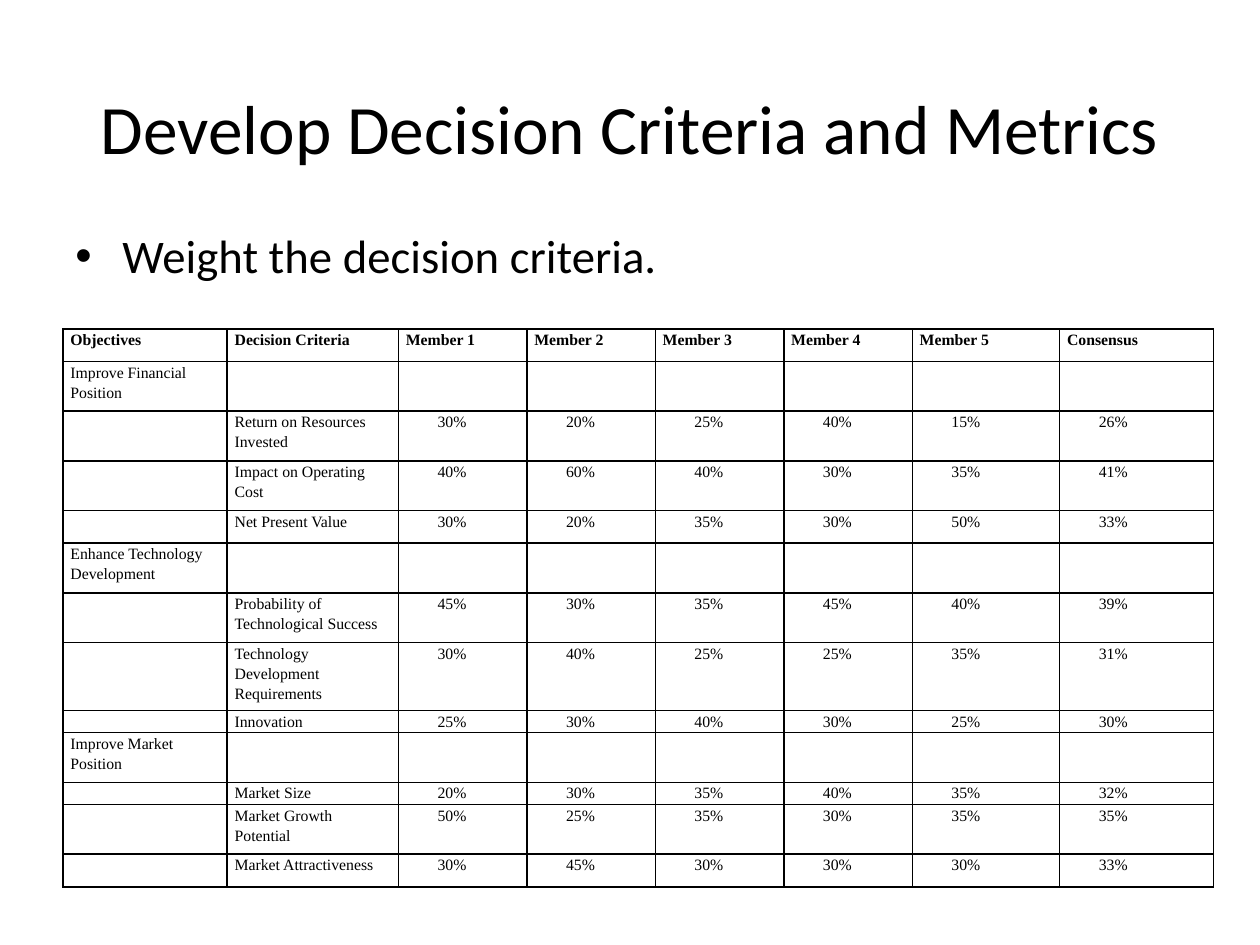
from dataclasses import dataclass
from lxml.etree import SubElement
from pptx import Presentation
from pptx.dml.color import RGBColor
from pptx.enum.text import MSO_ANCHOR, PP_ALIGN
from pptx.oxml.ns import qn
from pptx.util import Cm, Pt


@dataclass(frozen=True)
class Theme:
    ink: str = "000000"
    paper: str = "FFFFFF"
    heading_font: str = "Calibri"
    table_font: str = "Times New Roman"
    title_size: float = 39.6
    body_size: float = 26.7
    table_size: float = 9
    border: float = 1


theme = Theme()

title = "Develop Decision Criteria and Metrics"
bullet = "Weight the decision criteria."
headers = ["Objectives", "Decision Criteria", "Member 1", "Member 2",
           "Member 3", "Member 4", "Member 5", "Consensus"]
objectives = {
    "Improve Financial Position": [
        ("Return on Resources Invested", 30, 20, 25, 40, 15, 26),
        ("Impact on Operating Cost", 40, 60, 40, 30, 35, 41),
        ("Net Present Value", 30, 20, 35, 30, 50, 33),
    ],
    "Enhance Technology Development": [
        ("Probability of Technological Success", 45, 30, 35, 45, 40, 39),
        ("Technology Development Requirements", 30, 40, 25, 25, 35, 31),
        ("Innovation", 25, 30, 40, 30, 25, 30),
    ],
    "Improve Market Position": [
        ("Market Size", 20, 30, 35, 40, 35, 32),
        ("Market Growth Potential", 50, 25, 35, 30, 35, 35),
        ("Market Attractiveness", 30, 45, 30, 30, 30, 33),
    ],
}
column_widths = [3.31, 3.45] + [2.59] * 4 + [2.97, 3.1]
short, single, double, triple = 0.45, 0.66, 1, 1.37
row_heights = [single, double, double, double, single, double, double,
               triple, short, double, short, double, single]


def add_text(para, text, font, size, bold=False):
    span = para.add_run()
    span.text = text
    span.font.name = font
    span.font.size = Pt(size)
    span.font.bold = bold
    span.font.color.rgb = RGBColor.from_string(theme.ink)


def add_box(page, left, top, width, height, anchor):
    box = page.shapes.add_textbox(Cm(left), Cm(top), Cm(width), Cm(height))
    box.text_frame.word_wrap = True
    box.text_frame.vertical_anchor = anchor
    return box.text_frame.paragraphs[0]


def set_indent(para, margin, indent):
    properties = para._p.get_or_add_pPr()
    properties.set("marL", str(Cm(margin)))
    properties.set("indent", str(Cm(indent)))
    return properties


def style_cell(cell):
    cell.margin_left = cell.margin_right = Cm(0.15)
    cell.margin_top = cell.margin_bottom = 0
    properties = cell._tc.get_or_add_tcPr()
    for side in ("a:lnL", "a:lnR", "a:lnT", "a:lnB"):
        line = SubElement(properties, qn(side), w=str(Pt(theme.border)))
        fill = SubElement(line, qn("a:solidFill"))
        SubElement(fill, qn("a:srgbClr"), val=theme.ink)
    cell.fill.solid()
    cell.fill.fore_color.rgb = RGBColor.from_string(theme.paper)


def fill_cell(cell, value, bold):
    style_cell(cell)
    para = cell.text_frame.paragraphs[0]
    if value is None:
        SubElement(para._p, qn("a:endParaRPr"), sz=str(theme.table_size * 100))
        return
    para.line_spacing = 1.15
    para.space_after = Pt(3)
    if isinstance(value, int):
        set_indent(para, 0, 0.64)
        value = f"{value}%"
    add_text(para, value, theme.table_font, theme.table_size, bold)


deck = Presentation()
deck.slide_width, deck.slide_height = Cm(25.4), Cm(19.05)
page = deck.slides.add_slide(deck.slide_layouts[6])

para = add_box(page, 1.27, 0.97, 22.86, 3.18, MSO_ANCHOR.MIDDLE)
para.alignment = PP_ALIGN.CENTER
add_text(para, title, theme.heading_font, theme.title_size)

para = add_box(page, 1.27, 4.45, 21.97, 1.7, MSO_ANCHOR.TOP)
para.space_before = Pt(theme.body_size * 0.2)
properties = set_indent(para, 0.95, -0.95)
SubElement(properties, qn("a:buFont"), typeface="Arial")
SubElement(properties, qn("a:buChar"), char="•")
add_text(para, bullet, theme.heading_font, theme.body_size)

rows = [headers]
for objective, criteria in objectives.items():
    rows.append([objective] + [None] * (len(headers) - 1))
    rows.extend([None, *criterion] for criterion in criteria)

table = page.shapes.add_table(len(rows), len(headers), Cm(1.27), Cm(6.63),
                              Cm(sum(column_widths)), Cm(sum(row_heights))).table
table.horz_banding = False
for column, width in zip(table.columns, column_widths):
    column.width = Cm(width)
for row, height in zip(table.rows, row_heights):
    row.height = Cm(height)
for row_index, values in enumerate(rows):
    for column_index, value in enumerate(values):
        fill_cell(table.cell(row_index, column_index), value, row_index == 0)

deck.save("out.pptx")
